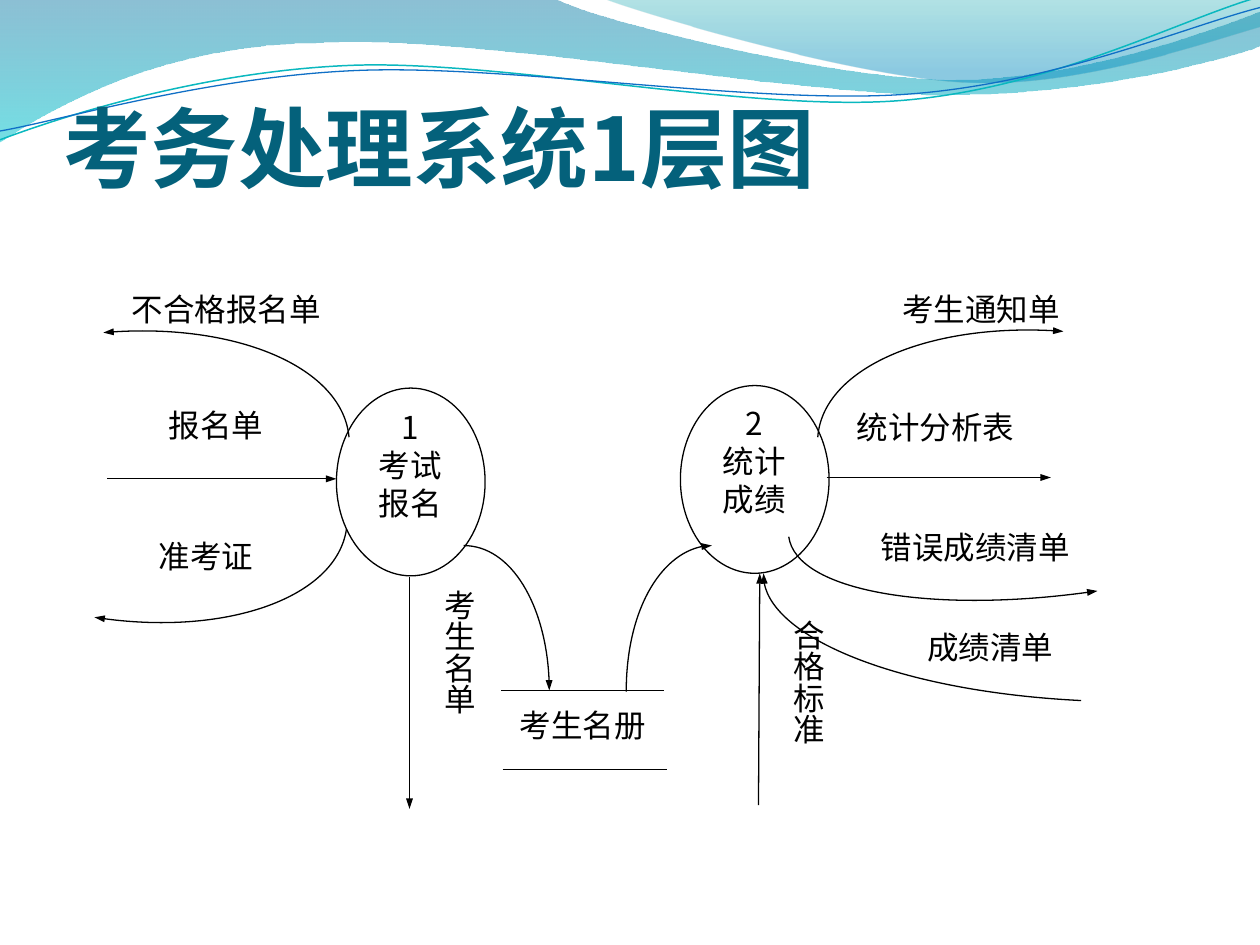
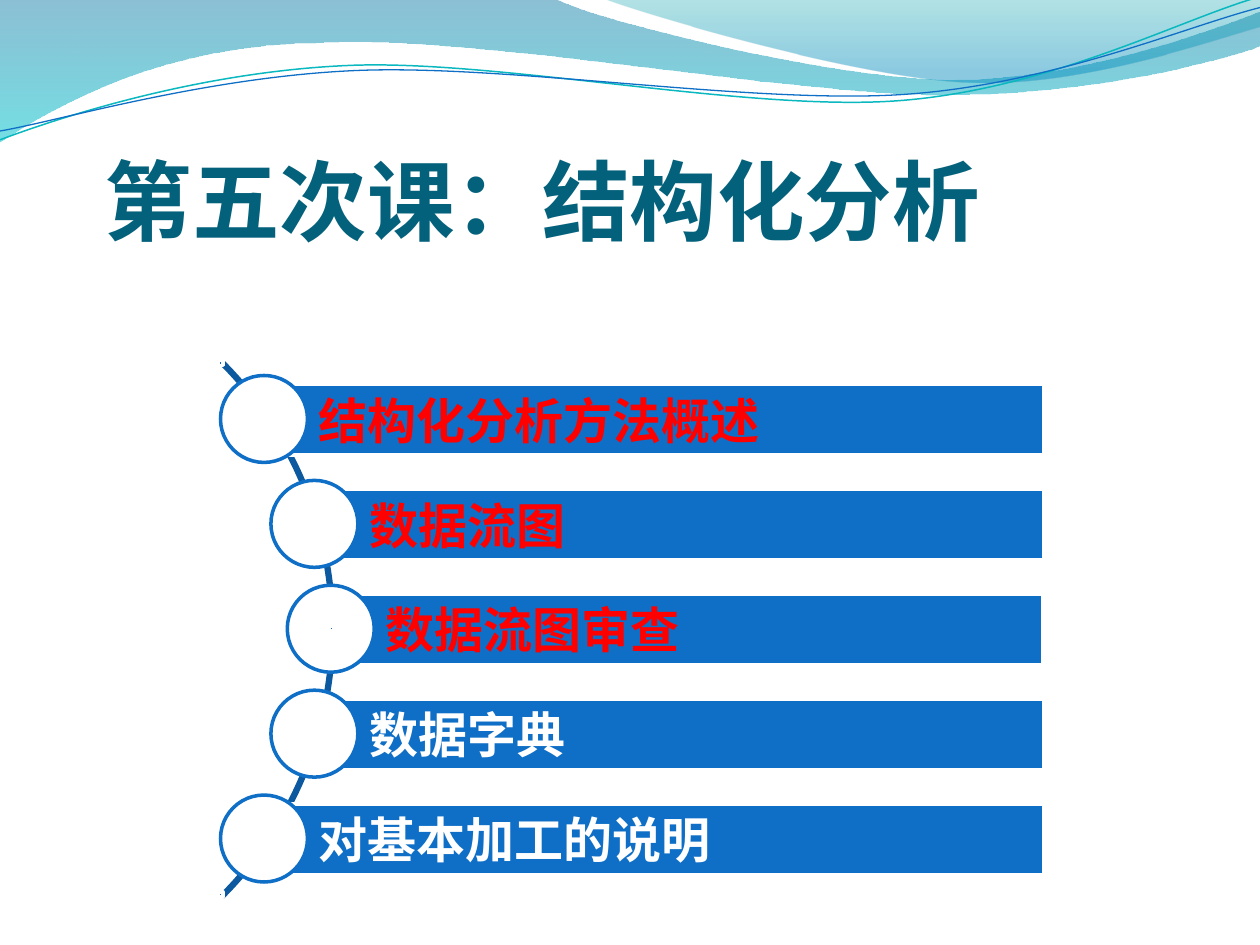
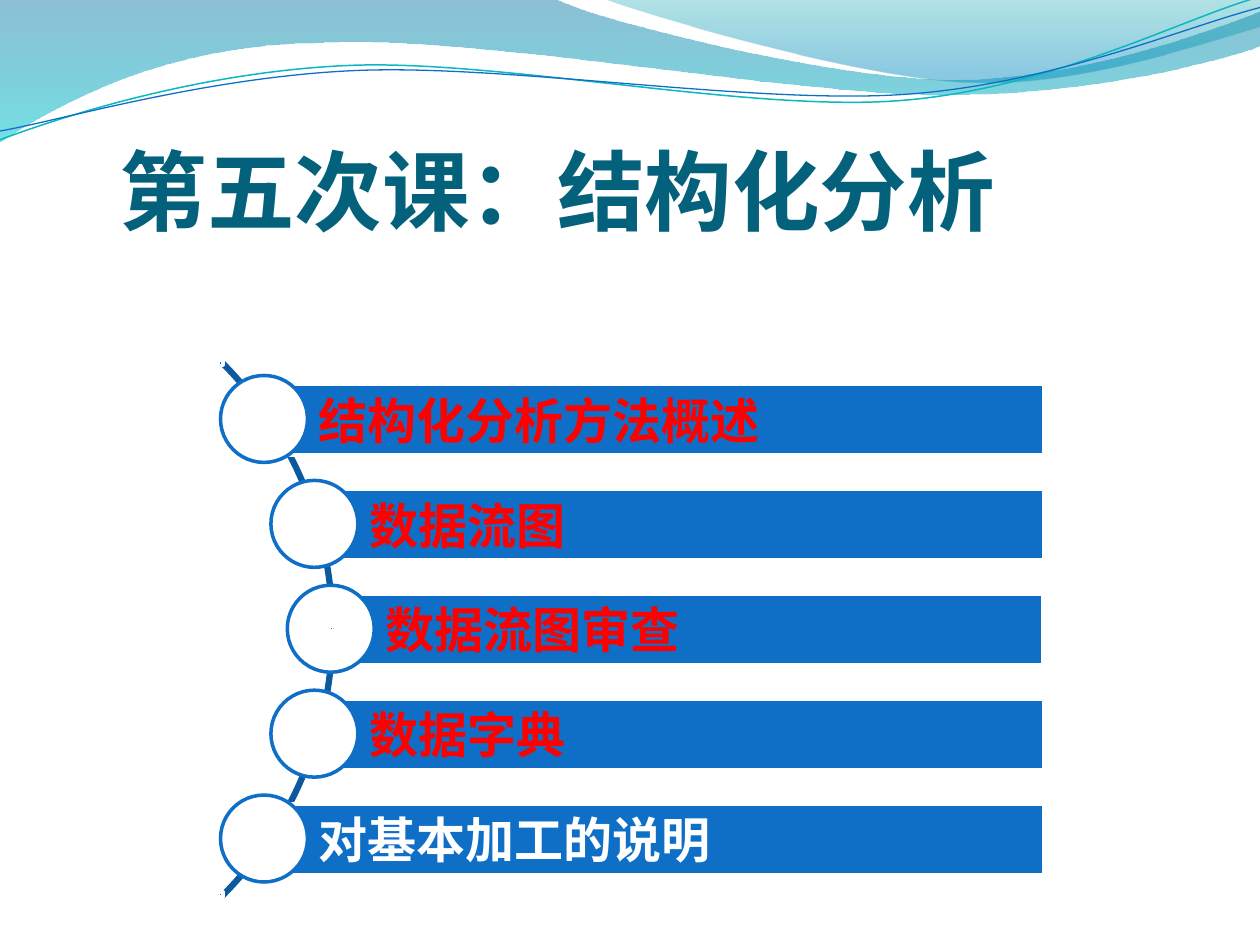
from lxml import etree
from pptx import Presentation
from pptx.dml.color import RGBColor
from pptx.enum.shapes import MSO_CONNECTOR, MSO_SHAPE
from pptx.enum.text import MSO_ANCHOR, PP_ALIGN
from pptx.oxml.ns import qn
from pptx.util import Pt

PX = 9144  # EMU per px, 100 px to the inch

STRAIGHT = MSO_CONNECTOR.STRAIGHT
RECT, OVAL, ARC = MSO_SHAPE.RECTANGLE, MSO_SHAPE.OVAL, MSO_SHAPE.BLOCK_ARC
TOP, MIDDLE, BOTTOM = MSO_ANCHOR.TOP, MSO_ANCHOR.MIDDLE, MSO_ANCHOR.BOTTOM
LEFT, CENTER, JUSTIFY = PP_ALIGN.LEFT, PP_ALIGN.CENTER, PP_ALIGN.JUSTIFY

BLACK = RGBColor(0x00, 0x00, 0x00)
WHITE = RGBColor(0xFF, 0xFF, 0xFF)
RED = RGBColor(0xFF, 0x00, 0x00)
BLUE = RGBColor(0x0F, 0x6F, 0xC6)
NAVY = RGBColor(0x0C, 0x59, 0x9F)
TEAL = RGBColor(0x04, 0x61, 0x7B)
AQUA = RGBColor(0x0A, 0xB8, 0xBF)

SANS, SERIF = "Noto Sans CJK SC", "Vollkorn"

# Paths: a start point, then lines (2 numbers) and cubic curves (6 numbers).
# Bands: path, then gradient stops as (position, colour, opacity in percent).
BANDS = [
    ([(0, -1), (440, -1), (476, 17, 664, 63, 758, 63),
      (853, 63, 958, 26, 1000, 9), (1001, 36),
      (983, 44, 870, 76, 746, 75), (622, 75, 382, 28, 257, 34),
      (129, 35, 46, 83, -1, 113)],
     [(0, RGBColor(0x00, 0x74, 0xA1), 45), (1, RGBColor(0x00, 0xC6, 0xCF), 55)]),
    ([(479, -1), (509, 11, 682, 62, 769, 65),
      (856, 69, 961, 32, 1000, 21), (1000, 0)],
     [(0, RGBColor(0x00, 0xA1, 0xA9), 30), (0.8, RGBColor(0x00, 0x8B, 0xBF), 45)]),
]
WAVES = [
    ([(0, 111), (48, 93, 158, 57, 277, 52), (395, 47, 593, 89, 713, 80),
      (833, 71, 938, 15, 998, -2)], AQUA, 0.85),
    ([(0, 104), (47, 96, 164, 61, 283, 56), (403, 51, 597, 83, 717, 75),
      (836, 67, 941, 21, 1000, 6)], BLUE, 0.75),
]

FLOW_TITLE = ("考务处理系统1层图", (50, 33, 900, 125))
BUBBLES = [(267, 308, 118, 149), (540, 306, 118, 149)]
STORE = [(398, 548, 527, 548), (399, 611, 529, 611)]
FLOWS = [
    (85, 380, 267, 380), (325, 458, 325, 642),
    (656, 379, 834, 379), (602, 639, 603, 455),
]
BENDS = [
    [(368, 433), (406, 433, 436, 485, 436, 548)],
    [(497, 549), (497, 485, 528, 433, 565, 433)],
    [(277, 347), (272, 292, 185, 255, 82, 264)],
    [(275, 420), (267, 474, 177, 506, 75, 490)],
    [(649, 347), (653, 292, 741, 255, 844, 263)],
    [(626, 426), (632, 469, 742, 488, 871, 469)],
    [(858, 556), (716, 549, 603, 503, 606, 455)],
]
LABELS = [
    ("1\n考试\n报名", (258, 319, 135, 137)),
    ("2\n统计\n成绩", (531, 316, 135, 137)),
    ("考生名册", (396, 555, 133, 79)),
    ("报名单", (106, 317, 131, 82)),
    ("不合格报名单", (67, 225, 225, 81)),
    ("准考证", (98, 421, 131, 82)),
    ("统计分析表", (658, 319, 169, 81)),
    ("考生通知单", (694, 225, 169, 82)),
]
TIGHT = [
    ("错误成绩清单", (673, 424, 202, 68)),
    ("成绩清单", (708, 503, 156, 68)),
]
UPRIGHT = [
    ("考生名单", (300, 458, 84, 177)),
    ("合格标准", (577, 482, 84, 177)),
]

LESSON = "第五次课：结构化分析"
TOPICS = ["结构化分析方法概述", "数据流图", "数据流图审查", "数据字典", "对基本加工的说明"]
STARTS = [209, 249, 262, 249, 209]
DOTS = [(173, 286), (261, 497), (173, 708)]
# Title box and number of topics shown in red
AGENDAS = [((83, 75, 733, 125), 3), ((95, 67, 733, 125), 4)]


def emu(*values):
    return [round(v * PX) for v in values]


def write(frame, text, font, size, color, bold=False, align=LEFT,
          anchor=TOP, insets=(10, 5, 10, 5), spacing=None):
    frame.text = text
    frame.word_wrap = True
    frame.vertical_anchor = anchor
    (frame.margin_left, frame.margin_top,
     frame.margin_right, frame.margin_bottom) = emu(*insets)
    for para in frame.paragraphs:
        para.alignment = align
        if spacing:
            para.line_spacing = spacing
        face = para.font
        face.name, face.size, face.bold = font, Pt(size), bold
        face.color.rgb = color
        props = para._p.pPr.find(qn("a:defRPr"))
        etree.SubElement(props, qn("a:ea"), typeface=font)


def style(shape, fill=None, line=None, width=2.0):
    shape.shadow.inherit = False
    if fill is None:
        shape.fill.background()
    else:
        shape.fill.solid()
        shape.fill.fore_color.rgb = fill
    if line is None:
        shape.line.fill.background()
    else:
        shape.line.color.rgb = line
        shape.line.width = Pt(width)
    return shape


def draw(slide, kind, box, fill=None, line=None, width=2.0):
    return style(slide.shapes.add_shape(kind, *emu(*box)), fill, line, width)


def outline(slide, steps, close=False, line=None, width=0.75):
    """Draw a path, joining each three points of a curve into one cubic."""
    start, *rest = steps
    points = [emu(*step[i:i + 2]) for step in rest for i in range(0, len(step), 2)]
    pen = slide.shapes.build_freeform(*emu(*start))
    pen.add_line_segments(points, close=close)
    shape = pen.convert_to_shape()
    track = next(shape.element.iter(qn("a:path")))
    nodes = iter(track.findall(qn("a:lnTo")))
    for step in rest:
        part = [next(nodes) for _ in range(len(step) // 2)]
        if len(part) == 3:
            curve = etree.Element(qn("a:cubicBezTo"))
            part[0].addprevious(curve)
            for node in part:
                curve.append(node.find(qn("a:pt")))
                track.remove(node)
    return style(shape, None, line, width)


def point(shape):
    """Put a slim arrowhead at the end of a line."""
    ends = shape.element.spPr.find(qn("a:ln"))
    etree.SubElement(ends, qn("a:tailEnd"), type="triangle", w="sm", len="med")


def link(slide, ends, arrow=False):
    line = slide.shapes.add_connector(STRAIGHT, *emu(*ends))
    line.line.color.rgb = BLACK
    line.line.width = Pt(0.75)
    if arrow:
        point(line)
    etree.SubElement(line.element.spPr, qn("a:effectLst"))


def label(slide, text, box, **look):
    frame = slide.shapes.add_textbox(*emu(*box)).text_frame
    write(frame, text, SANS, 18, BLACK, **look)
    return frame


def set_title(slide, text, box):
    title = slide.shapes.title
    title.left, title.top, title.width, title.height = emu(*box)
    write(title.text_frame, text, SANS, 50, TEAL, bold=True,
          anchor=BOTTOM, insets=(0, 5, 0, 0))


def dress(master, slide):
    """Draw the bands and waves, then move them to the master."""
    parts = []
    for steps, stops in BANDS:
        band = outline(slide, steps, close=True)
        band.fill.gradient()
        band.fill.gradient_angle = 270
        for stop, (place, color, _) in zip(band.fill.gradient_stops, stops):
            stop.color.rgb = color
            stop.position = place
        tints = band.element.spPr.iter(qn("a:srgbClr"))
        for tint, (_, _, alpha) in zip(list(tints), stops):
            etree.SubElement(tint, qn("a:alpha"), val=str(alpha * 1000))
        parts.append(band)
    for steps, color, width in WAVES:
        parts.append(outline(slide, steps, line=color, width=width))
    tree = master.element.cSld.spTree
    for i, part in enumerate(parts):
        part.element.nvSpPr.cNvPr.set("id", str(20 + i))
        tree.insert(2 + i, part.element)


def flow_slide(slide):
    set_title(slide, *FLOW_TITLE)
    for ends in STORE:
        link(slide, ends)
    for box in BUBBLES:
        draw(slide, OVAL, box, line=BLACK, width=0.75)
    for ends in FLOWS:
        link(slide, ends, arrow=True)
    for steps in BENDS:
        point(outline(slide, steps, line=BLACK))
    for text, box in LABELS:
        label(slide, text, box, align=CENTER)
    for text, box in TIGHT:
        label(slide, text, box, align=CENTER, spacing=0.64)
    for text, box in UPRIGHT:
        frame = label(slide, text, box, align=JUSTIFY)
        frame._txBody.bodyPr.set("vert", "eaVert")


def agenda_slide(slide, box, done):
    set_title(slide, LESSON, box)
    arc = draw(slide, ARC, (-336, 199, 601, 601), line=NAVY)
    for i, value in enumerate((189, 27, 0.0036)):
        arc.adjustments[i] = value
    for i, (topic, left) in enumerate(zip(TOPICS, STARTS)):
        drop = i * 333 / 4
        bar = draw(slide, RECT, (left, 305 + drop, 828 - left, 56), BLUE, WHITE)
        write(bar.text_frame, topic, SERIF, 28, RED if i < done else WHITE,
              bold=True, anchor=MIDDLE, insets=(44, 8, 8, 8))
        draw(slide, OVAL, (left - 34, 298 + drop, 69, 69), WHITE, BLUE)
    for left, top in DOTS:
        draw(slide, RECT, (left, top, 4, 4), BLUE, WHITE)


def main():
    prs = Presentation()
    prs.slide_width, prs.slide_height = emu(1000, 750)
    plain = prs.slide_layouts[5]
    first = prs.slides.add_slide(plain)
    dress(prs.slide_master, first)
    flow_slide(first)
    for box, done in AGENDAS:
        agenda_slide(prs.slides.add_slide(plain), box, done)
    prs.save("out.pptx")


if __name__ == "__main__":
    main()
